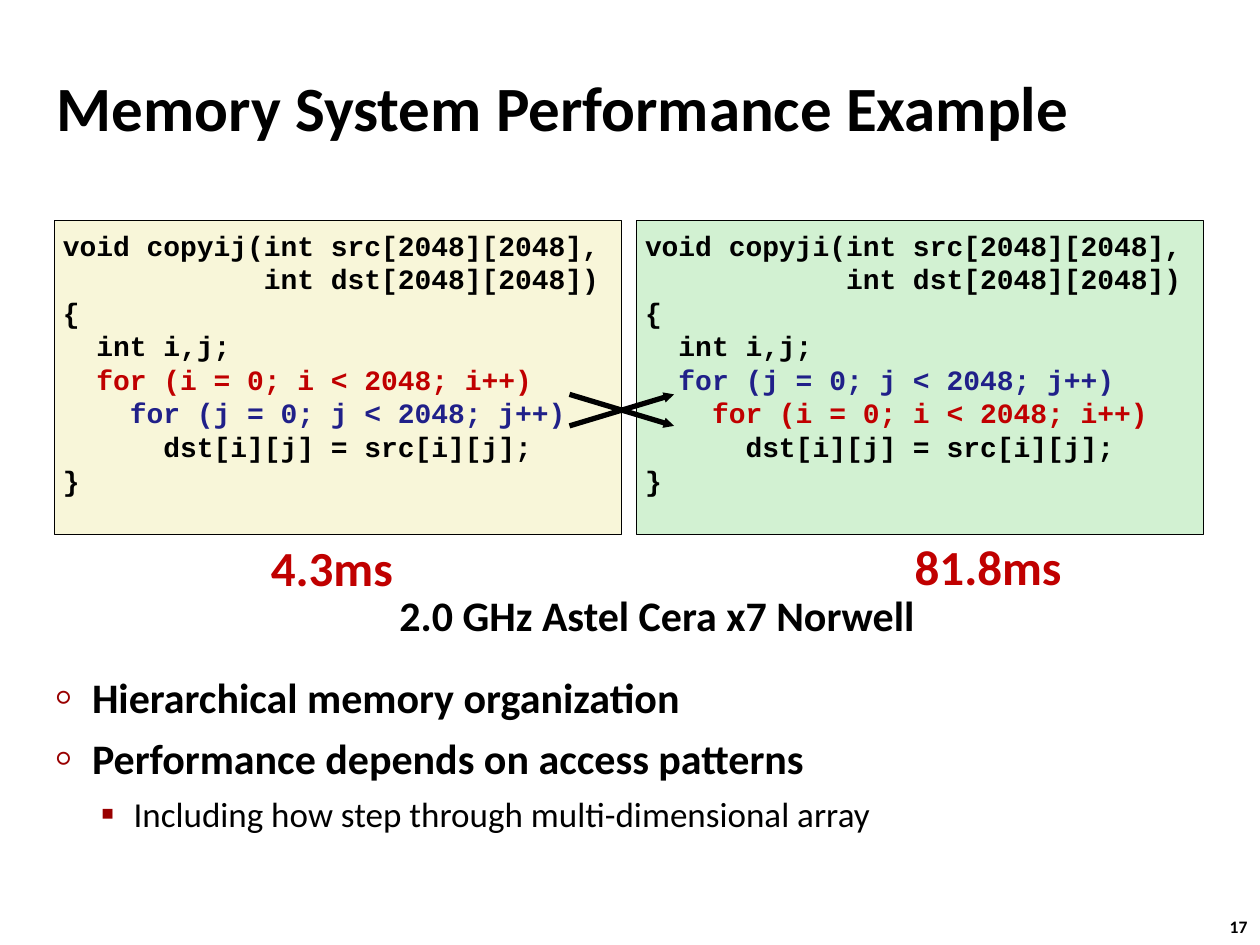
import pptx
import pptx.util
import pptx.dml.color
import pptx.enum.shapes
import pptx.enum.text
import pptx.oxml
import pptx.oxml.ns
from pptx.util import Inches

COLORS = {"black": "000000", "red": "C00000", "blue": "202089", "bullet": "990000",
          "cream": "F8F6D9", "mint": "D2F1D2"}
CODE_COLORS = {"i": "red", "j": "blue"}
BODY = [
    ("2.0 GHz Astel Cera x7 Norwell", dict(left=2.73)),
    ("Hierarchical memory organization",
     dict(left=0.29, hang=0.28, before=18.2, bullet="○", scale=60)),
    ("Performance depends on access patterns",
     dict(left=0.29, hang=0.28, before=6, bullet="○", scale=60)),
    ("Including how step through multi-dimensional array",
     dict(left=0.62, hang=0.26, before=5.3, bullet="▪", scale=110, level=1,
          size=20, bold=False)),
]


def rgb(name):
    """Return the named colour."""
    return pptx.dml.color.RGBColor.from_string(COLORS[name])


def add_xml(parent, tag, **attrs):
    """Append a drawing element with attributes and return it."""
    child = pptx.oxml.parse_xml(f"<a:{tag} {pptx.oxml.ns.nsdecls('a')}/>")
    for key, value in attrs.items():
        child.set(key, str(value))
    parent.append(child)
    return child


def set_frame(tf, left=0, top=0.01, wrap=True):
    """Give a text frame its insets and fixed size."""
    tf.margin_left, tf.margin_top = Inches(left), Inches(top)
    tf.margin_right = tf.margin_bottom = 0
    tf.word_wrap = wrap
    tf.auto_size = pptx.enum.text.MSO_AUTO_SIZE.NONE
    tf.vertical_anchor = pptx.enum.text.MSO_ANCHOR.TOP


def write(tf, text, first=True, font="Calibri", size=24, bold=True, color="black",
          left=0.01, hang=0, before=0, bullet=None, scale=100, level=0, spacing=None):
    """Write one formatted paragraph into a text frame."""
    p = tf.paragraphs[0] if first else tf.add_paragraph()
    p.level = level
    p.alignment = pptx.enum.text.PP_ALIGN.LEFT
    p.space_before = pptx.util.Pt(before)
    if spacing:
        p.line_spacing = pptx.util.Pt(spacing)
    pPr = p._p.get_or_add_pPr()
    pPr.set("marL", str(Inches(left)))
    pPr.set("indent", str(-Inches(hang)))
    if bullet:
        add_xml(add_xml(pPr, "buClr"), "srgbClr", val=COLORS["bullet"])
        add_xml(pPr, "buSzPct", val=scale * 1000)
        add_xml(pPr, "buFont", typeface=font)
        add_xml(pPr, "buChar", char=bullet)
    else:
        add_xml(pPr, "buNone")
    r = p.add_run()
    r.text = text
    r.font.name, r.font.size, r.font.bold = font, pptx.util.Pt(size), bold
    r.font.color.rgb = rgb(color)


def place(sp, left, top, width, height):
    """Move and size a shape."""
    sp.left, sp.top = Inches(left), Inches(top)
    sp.width, sp.height = Inches(width), Inches(height)


def add_label(s, text, x, y, width, height, **fmt):
    """Add a one-line text box."""
    sp = s.shapes.add_textbox(*map(Inches, (x, y, width, height)))
    set_frame(sp.text_frame, wrap=False)
    write(sp.text_frame, text, **fmt)


def add_code_panel(s, left, fill, outer, inner):
    """Add a panel with the copy function for one loop order."""
    sp = s.shapes.add_shape(pptx.enum.shapes.MSO_SHAPE.RECTANGLE,
                            *map(Inches, (left, 1.75, 4.5, 2.49)))
    sp.shadow.inherit = False
    sp.fill.solid()
    sp.fill.fore_color.rgb = rgb(fill)
    sp.line.color.rgb = rgb("black")
    sp.line.width = pptx.util.Pt(0.5)
    tf = sp.text_frame
    set_frame(tf, left=0.06, top=0.06)
    lines = [(f"void copy{outer}{inner}(int src[2048][2048],", "black"),
             (" " * 12 + "int dst[2048][2048])", "black"),
             ("{", "black"),
             ("  int i,j;", "black")]
    for depth, v in enumerate((outer, inner), 1):
        lines.append(("  " * depth + f"for ({v} = 0; {v} < 2048; {v}++)", CODE_COLORS[v]))
    lines += [("      dst[i][j] = src[i][j];", "black"), ("}", "black")]
    for n, (text, color) in enumerate(lines):
        write(tf, text, first=n == 0, font="Courier New", size=16, color=color, spacing=19.2)


def add_arrow(s, x1, y1, x2, y2):
    """Add a thick black arrow."""
    c = s.shapes.add_connector(pptx.enum.shapes.MSO_CONNECTOR.STRAIGHT,
                               *map(Inches, (x1, y1, x2, y2)))
    c.line.color.rgb = rgb("black")
    c.line.width = pptx.util.Pt(3)
    spPr = c._element.spPr
    add_xml(spPr.get_or_add_ln(), "tailEnd", type="triangle", w="sm", len="sm")
    add_xml(spPr, "effectLst")


def main():
    """Build and save the slide."""
    prs = pptx.Presentation()
    prs.slide_width, prs.slide_height = Inches(10), Inches(7.5)
    s = prs.slides.add_slide(prs.slide_layouts[1])

    title, body = s.shapes.title, s.placeholders[1]
    place(title, 0.44, 0.53, 8.6, 0.63)
    set_frame(title.text_frame)
    write(title.text_frame, "Memory System Performance Example", size=36)

    add_code_panel(s, 0.43, "cream", "i", "j")
    add_code_panel(s, 5.05, "mint", "j", "i")
    for start, end in ((3.13, 3.38), (3.38, 3.13)):
        add_arrow(s, 4.52, start, 5.35, end)

    add_label(s, "4.3ms", 2.14, 4.26, 1, 0.49, size=28, color="red")
    add_label(s, "81.8ms", 7.25, 4.25, 1.19, 0.49, size=28, color="red")
    add_label(s, "17", 9.73, 7.28, 0.2, 0.17, size=10, left=0.03, spacing=10.4)

    place(body, 0.44, 4.67, 7.2, 1.98)
    set_frame(body.text_frame)
    for n, (text, fmt) in enumerate(BODY):
        write(body.text_frame, text, first=n == 0, **fmt)

    prs.save("out.pptx")


if __name__ == "__main__":
    main()
